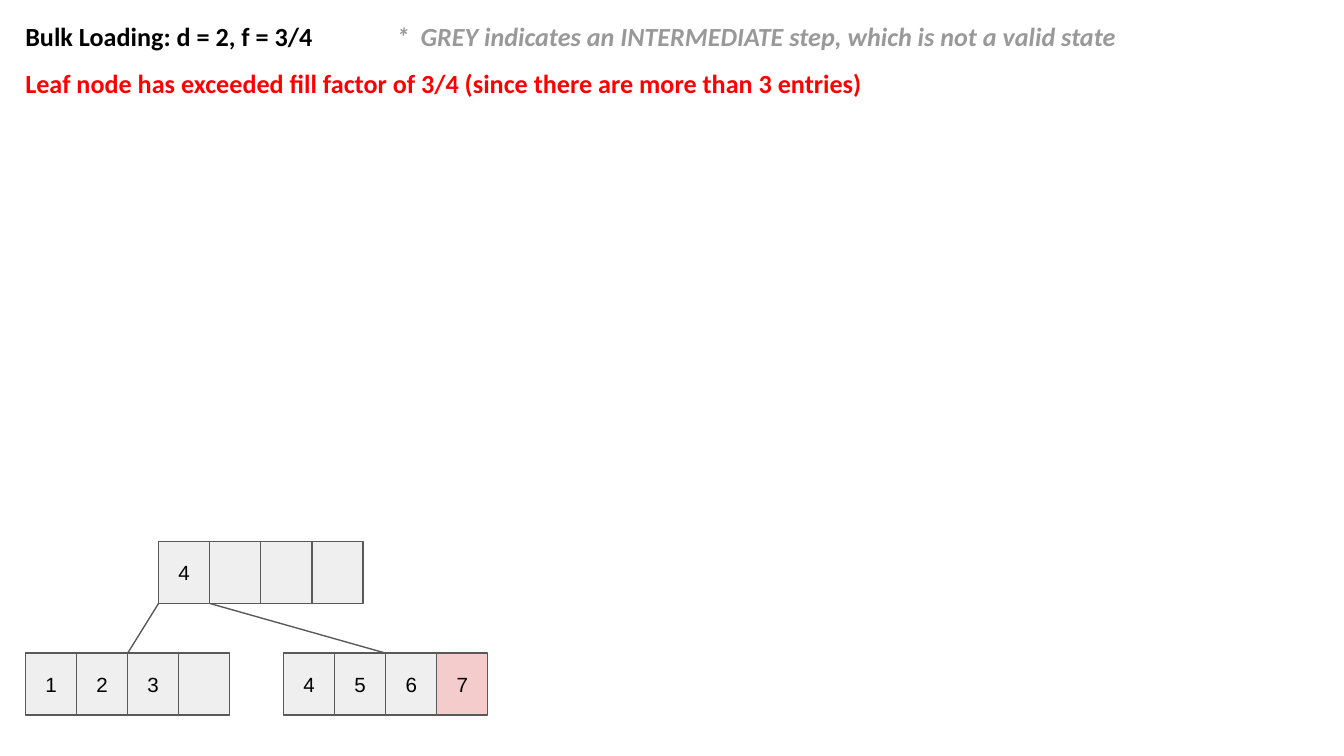
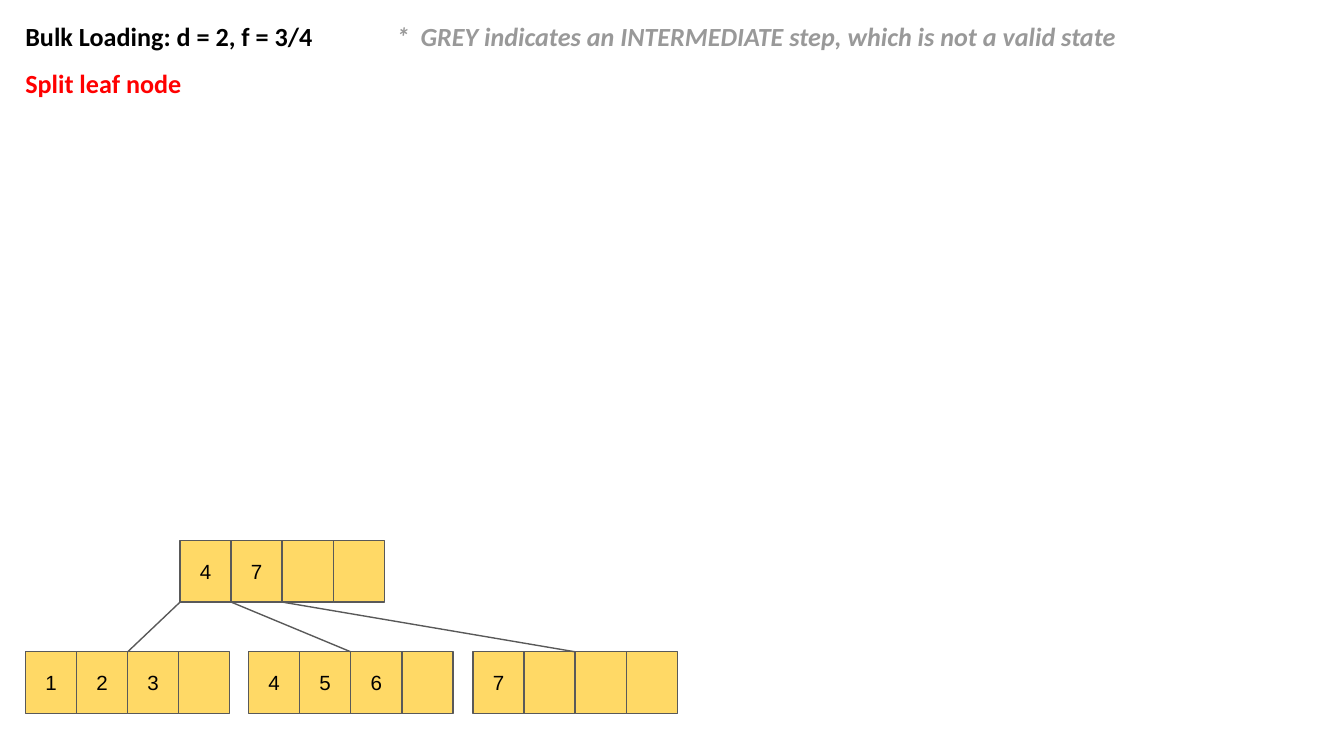
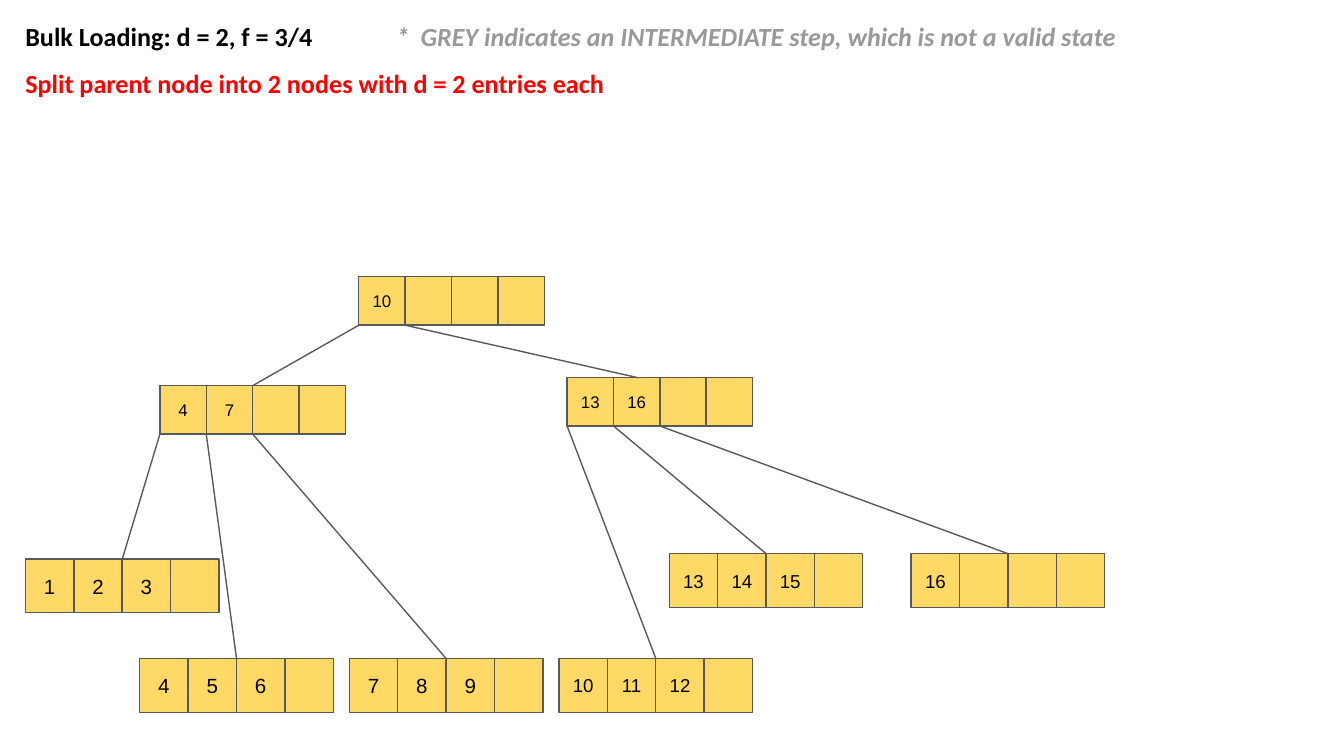
from dataclasses import dataclass, replace

from lxml import etree
from pptx import Presentation
from pptx.dml.color import RGBColor
from pptx.enum import shapes, text
from pptx.oxml.ns import qn
from pptx.util import Inches, Pt

BLACK, RED, NOTE_GREY = "000000", "FF0000", "999999"
OUTLINE, OVERFLOW = "595959", "F4CCCC"
INTERMEDIATE, VALID = "EFEFEF", "FFD966"
SLIDE_WIDTH = Inches(10)
SLIDE_HEIGHT = SLIDE_WIDTH * 9 // 16
CELLS_PER_NODE = 4
INSET = Inches(0.1)
NOTE_TABS = (2.76, 2.94)


@dataclass(frozen=True)
class CellStyle:
    width: float
    height: float
    text_size: int


@dataclass(frozen=True)
class Node:
    """A row of cells; meets is how far along its top the parent's line ends."""
    left: float
    top: float
    keys: tuple[int, ...]
    style: CellStyle
    children: tuple["Node", ...] = ()
    meets: float = 0.5
    overflow_key: int | None = None


@dataclass(frozen=True)
class Step:
    message: str
    fill: str
    root: Node


LARGE = CellStyle(0.38, 0.46, 11)
LEAF = CellStyle(0.36, 0.4, 11)
TWO_DIGIT_LEAF = replace(LEAF, text_size=10)
INNER = CellStyle(1.38 / CELLS_PER_NODE, 0.36, 9)

STEPS = (
    Step(
        "Leaf node has exceeded fill factor of 3/4 (since there are more than 3 entries)",
        INTERMEDIATE,
        Node(1.18, 4.03, (4,), LARGE, (
            Node(0.19, 4.86, (1, 2, 3), LARGE),
            Node(2.11, 4.86, (4, 5, 6, 7), LARGE, overflow_key=7),
        )),
    ),
    Step(
        "Split leaf node",
        VALID,
        Node(1.34, 4.02, (4, 7), LARGE, (
            Node(0.19, 4.85, (1, 2, 3), LARGE),
            Node(1.85, 4.85, (4, 5, 6), LARGE),
            Node(3.52, 4.85, (7,), LARGE),
        )),
    ),
    Step(
        "Split parent node into 2 nodes with d = 2 entries each",
        VALID,
        Node(2.67, 2.06, (10,), INNER, (
            Node(1.19, 2.87, (4, 7), INNER, (
                Node(0.19, 4.16, (1, 2, 3), LEAF),
                Node(1.04, 4.9, (4, 5, 6), LEAF),
                Node(2.6, 4.9, (7, 8, 9), LEAF),
            )),
            Node(4.22, 2.81, (13, 16), INNER, (
                Node(4.16, 4.9, (10, 11, 12), TWO_DIGIT_LEAF),
                Node(4.98, 4.12, (13, 14, 15), TWO_DIGIT_LEAF),
                Node(6.78, 4.12, (16,), TWO_DIGIT_LEAF),
            ), meets=0.38),
        )),
    ),
)


def colour(value: str) -> RGBColor:
    return RGBColor.from_string(value)


def add_run(paragraph, content: str, font: str, size: int, hue: str,
            bold: bool = False, italic: bool = False) -> None:
    run = paragraph.add_run()
    run.text = content
    run.font.name = font
    run.font.size = Pt(size)
    run.font.color.rgb = colour(hue)
    run.font.bold = bold
    run.font.italic = italic


def set_insets(frame) -> None:
    frame.margin_left = frame.margin_right = INSET
    frame.margin_top = frame.margin_bottom = INSET


def add_heading_box(slide, top: float, width: float):
    """Add a text box at the left margin and return its first paragraph."""
    box = slide.shapes.add_textbox(Inches(0.09), Inches(top), Inches(width), Inches(0.35))
    frame = box.text_frame
    frame.word_wrap = True
    set_insets(frame)
    return frame.paragraphs[0]


def add_headings(slide, message: str) -> None:
    title = add_heading_box(slide, 0.05, 9.82)
    tab_list = etree.SubElement(title._p.get_or_add_pPr(), qn("a:tabLst"))
    for position in NOTE_TABS:
        etree.SubElement(tab_list, qn("a:tab"), pos=str(Inches(position)), algn="l")
    add_run(title, "Bulk Loading: d = 2, f = 3/4", "Calibri", 14, BLACK, bold=True)
    add_run(title, "\t*\tGREY indicates an INTERMEDIATE step, which is not a valid state",
            "Calibri", 14, NOTE_GREY, bold=True, italic=True)
    add_run(add_heading_box(slide, 0.4, 6.53), message, "Calibri", 14, RED, bold=True)


def add_cell(slide, node: Node, index: int, fill: str) -> None:
    style = node.style
    cell = slide.shapes.add_shape(
        shapes.MSO_SHAPE.RECTANGLE,
        Inches(node.left + index * style.width), Inches(node.top),
        Inches(style.width), Inches(style.height))
    cell.shadow.inherit = False
    key = node.keys[index] if index < len(node.keys) else None
    overflows = key is not None and key == node.overflow_key
    cell.fill.solid()
    cell.fill.fore_color.rgb = colour(OVERFLOW if overflows else fill)
    cell.line.color.rgb = colour(OUTLINE)
    cell.line.width = Pt(0.75)
    if key is None:
        return
    frame = cell.text_frame
    frame.word_wrap = False
    frame.vertical_anchor = text.MSO_ANCHOR.MIDDLE
    set_insets(frame)
    paragraph = frame.paragraphs[0]
    paragraph.alignment = text.PP_ALIGN.CENTER
    add_run(paragraph, str(key), "Arial", style.text_size, BLACK)


def add_pointer(slide, parent: Node, slot: int, child: Node) -> None:
    """Join the left edge of a parent's cell to the top of a child."""
    pointer = slide.shapes.add_connector(
        shapes.MSO_CONNECTOR.STRAIGHT,
        Inches(parent.left + slot * parent.style.width),
        Inches(parent.top + parent.style.height),
        Inches(child.left + child.meets * CELLS_PER_NODE * child.style.width),
        Inches(child.top))
    pointer.line.color.rgb = colour(OUTLINE)
    pointer.line.width = Pt(0.75)
    etree.SubElement(pointer._element.spPr, qn("a:effectLst"))


def add_tree(slide, node: Node, fill: str) -> None:
    for index in range(CELLS_PER_NODE):
        add_cell(slide, node, index, fill)
    for slot, child in enumerate(node.children):
        add_tree(slide, child, fill)
        add_pointer(slide, node, slot, child)


def main() -> None:
    presentation = Presentation()
    presentation.slide_width = SLIDE_WIDTH
    presentation.slide_height = SLIDE_HEIGHT
    blank = presentation.slide_layouts[6]
    for step in STEPS:
        slide = presentation.slides.add_slide(blank)
        add_tree(slide, step.root, step.fill)
        add_headings(slide, step.message)
    presentation.save("out.pptx")


if __name__ == "__main__":
    main()
